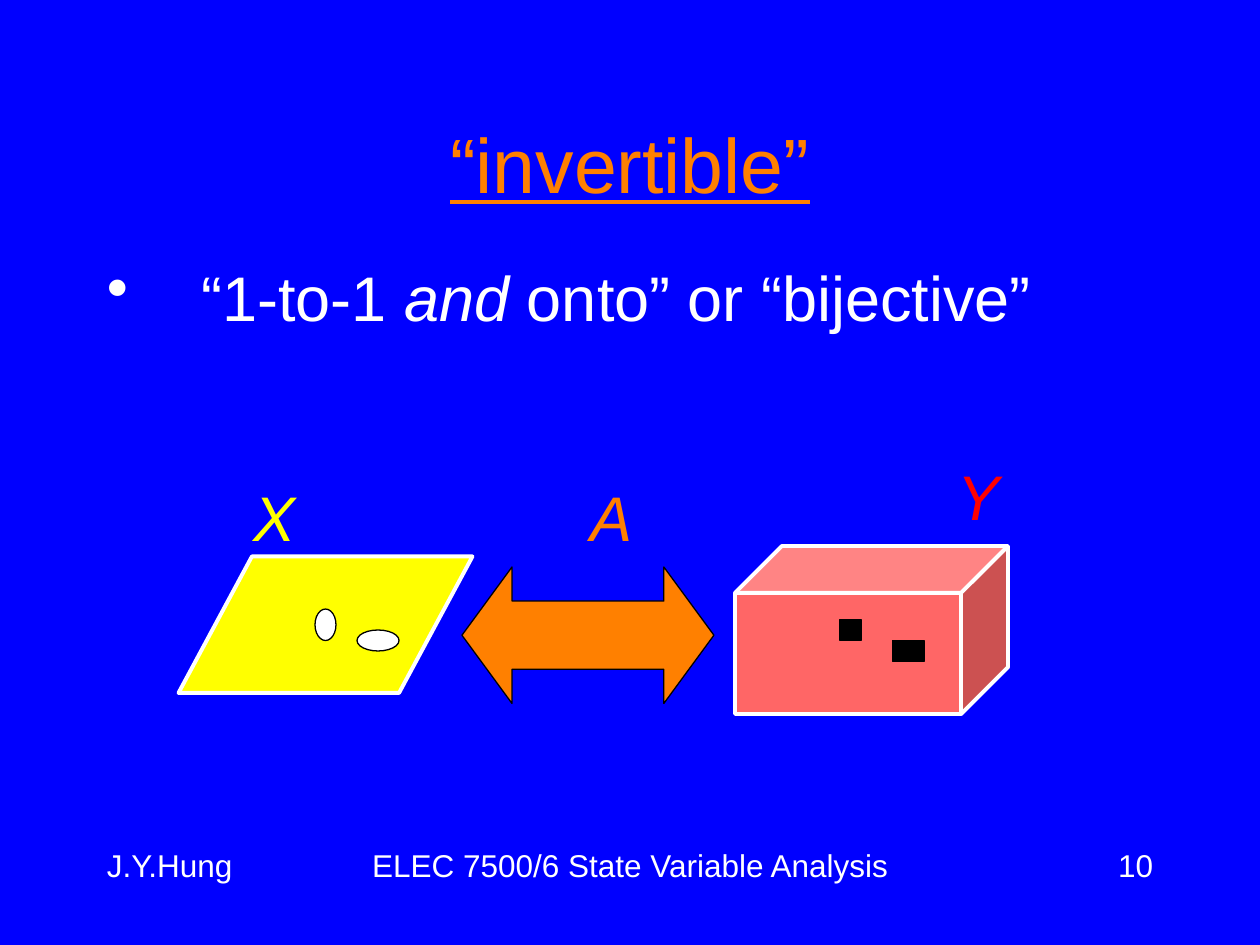
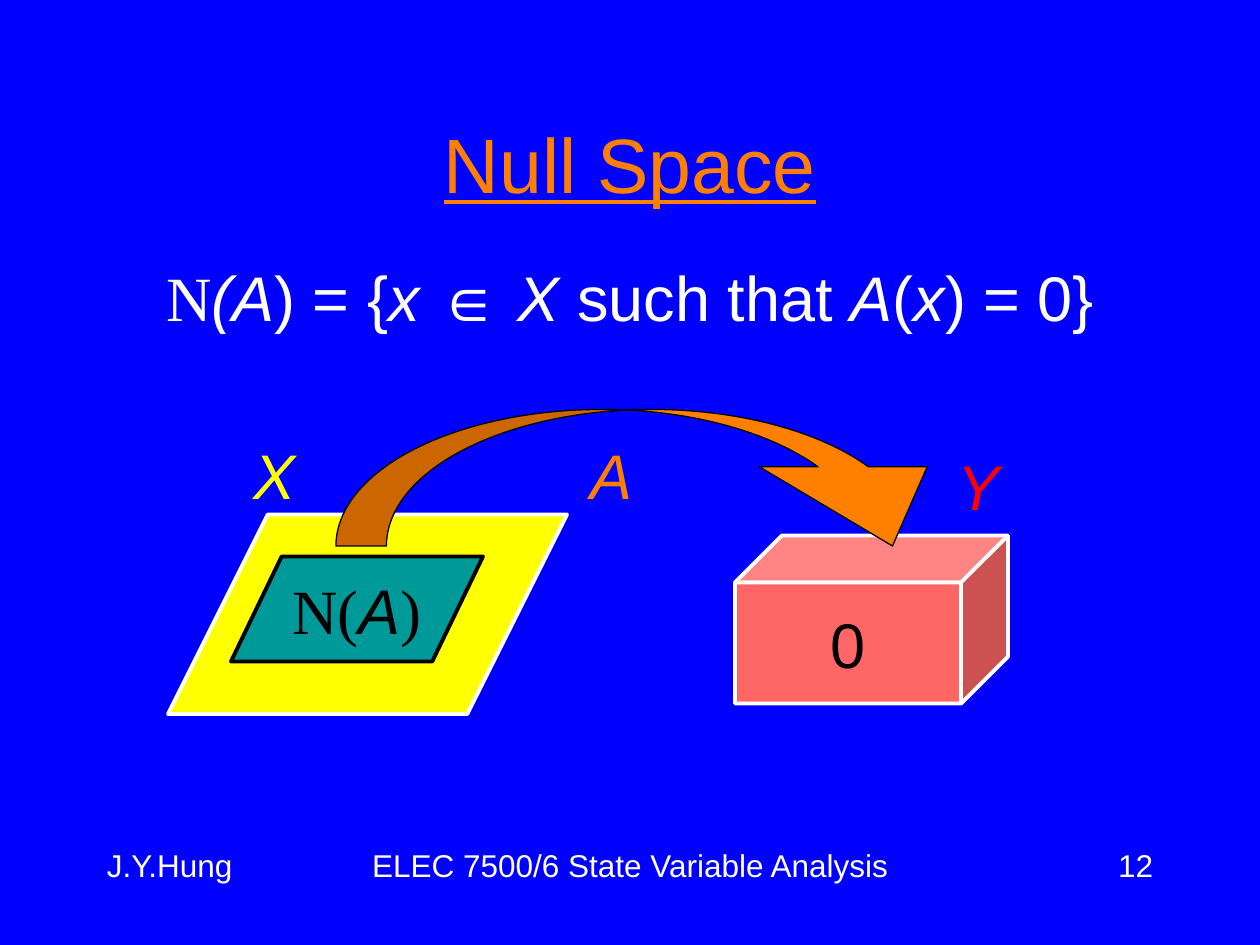
from lxml import etree
from pptx import Presentation
from pptx.dml.color import RGBColor
from pptx.enum.shapes import MSO_SHAPE
from pptx.enum.text import MSO_ANCHOR, MSO_AUTO_SIZE, PP_ALIGN
from pptx.oxml.ns import qn
from pptx.util import Pt

BLUE = RGBColor(0x00, 0x00, 0xFF)
WHITE = RGBColor(0xFF, 0xFF, 0xFF)
BLACK = RGBColor(0x00, 0x00, 0x00)
ORANGE = RGBColor(0xFF, 0x80, 0x00)
YELLOW = RGBColor(0xFF, 0xFF, 0x00)
RED = RGBColor(0xFF, 0x00, 0x00)
CORAL = RGBColor(0xFF, 0x66, 0x66)
TEAL = RGBColor(0x00, 0x99, 0x99)

SANS = "Arial"
SERIF = "Times New Roman"
LEFT, CENTER, RIGHT = PP_ALIGN.LEFT, PP_ALIGN.CENTER, PP_ALIGN.RIGHT
TOP, MIDDLE = MSO_ANCHOR.TOP, MSO_ANCHOR.MIDDLE
CUBE = MSO_SHAPE.CUBE
PARALLELOGRAM = MSO_SHAPE.PARALLELOGRAM
TWO_WAY_ARROW = MSO_SHAPE.LEFT_RIGHT_ARROW
CURVED_ARROW = MSO_SHAPE.CURVED_DOWN_ARROW
OVAL = MSO_SHAPE.OVAL
RECTANGLE = MSO_SHAPE.RECTANGLE

TITLE_SIZE, BODY_SIZE, FOOTER_SIZE = 44, 36, 18
THIN, THICK = 0.75, 2.25
CUBE_DEPTH = 0.279

# Boxes are (left, top, width, height) in points
TITLE_BOX = (54, 48, 612, 90)
BODY_BOX = (54, 144, 612, 324)
FOOTER_BOX = (54, 480, 612, 36)
INVERTIBLE_BOX = (102, 258, 474, 150)
NULL_SPACE_BOX = (96, 234, 480, 174)


def to_points(box):
    return [Pt(length) for length in box]


def inside(outer, left, top, width, height):
    """Turn a place relative to the outer box into a place on the slide."""
    return outer[0] + left, outer[1] + top, width, height


def write_spans(shape, spans, size, color, align=LEFT, anchor=TOP, wrap=True):
    """Fill a shape with one paragraph of (text, font, italic) spans."""
    frame = shape.text_frame
    frame.word_wrap = wrap
    frame.vertical_anchor = anchor
    para = frame.paragraphs[0]
    para.alignment = align
    for text, font, italic in spans:
        span = para.add_run()
        span.text = text
        span.font.name = font
        span.font.size = Pt(size)
        span.font.italic = italic
        span.font.color.rgb = color
    return para


def add_text(page, box, spans, size, color, **layout):
    shape = page.shapes.add_textbox(*to_points(box))
    return write_spans(shape, spans, size, color, **layout)


def add_figure(page, kind, box, fill, line, weight, adjustments=()):
    shape = page.shapes.add_shape(kind, *to_points(box))
    shape.shadow.inherit = False
    shape.fill.solid()
    shape.fill.fore_color.rgb = fill
    shape.line.color.rgb = line
    shape.line.width = Pt(weight)
    for index, value in enumerate(adjustments):
        shape.adjustments[index] = value
    return shape


def add_label(page, outer, left, top, letter, color):
    """Name a space or a map with one slanted letter."""
    box = page.shapes.add_textbox(*to_points(inside(outer, left, top, 38, 50.4)))
    write_spans(box, [(letter, SANS, True)], BODY_SIZE, color, wrap=False)
    box.text_frame.auto_size = MSO_AUTO_SIZE.SHAPE_TO_FIT_TEXT


def add_bullet(para, indent):
    properties = para._p.get_or_add_pPr()
    properties.set("marL", str(Pt(indent)))
    properties.set("indent", str(-Pt(indent)))
    color = etree.SubElement(properties, qn("a:buClr"))
    etree.SubElement(color, qn("a:srgbClr"), val=str(WHITE))
    etree.SubElement(properties, qn("a:buChar"), char="•")


def add_footer(page, box, number):
    parts = (
        (0, 90, "J.Y.Hung", LEFT),
        (114, 384, "ELEC 7500/6 State Variable Analysis", CENTER),
        (558, 54, str(number), RIGHT),
    )
    for left, width, text, align in parts:
        add_text(page, inside(box, left, 0, width, box[3]),
                 [(text, SANS, False)], FOOTER_SIZE, WHITE, align=align)


def add_page(deck, title, number):
    page = deck.slides.add_slide(deck.slide_layouts[6])
    page.background.fill.solid()
    page.background.fill.fore_color.rgb = BLUE
    add_footer(page, FOOTER_BOX, number)
    heading = add_text(page, TITLE_BOX, [(title, SANS, False)], TITLE_SIZE,
                       ORANGE, align=CENTER, anchor=MIDDLE)
    heading.runs[0].font.underline = True
    return page


def draw_invertible_map(page, box):
    add_figure(page, CUBE, inside(box, 318, 54, 156, 96), CORAL, WHITE, THICK,
               [CUBE_DEPTH])
    add_figure(page, PARALLELOGRAM, inside(box, 0, 60, 168, 78), YELLOW, WHITE,
               THICK, [0.538])
    add_figure(page, TWO_WAY_ARROW, inside(box, 162, 66, 144, 78), ORANGE,
               BLACK, THIN, [0.5, 0.367])
    add_label(page, box, 36, 12, "X", YELLOW)
    add_label(page, box, 438, 0, "Y", RED)
    add_label(page, box, 228.5, 12, "A", ORANGE)
    elements = (
        (OVAL, WHITE, 78, 90, 12, 18),
        (OVAL, WHITE, 102, 102, 24, 12),
        (RECTANGLE, BLACK, 378, 96, 12, 12),
        (RECTANGLE, BLACK, 408, 108, 18, 12),
    )
    for kind, fill, *place in elements:
        add_figure(page, kind, inside(box, *place), fill, BLACK, THIN)


def draw_null_space_map(page, box):
    zero_cube = add_figure(page, CUBE, inside(box, 324, 72, 156, 96), CORAL,
                           WHITE, THICK, [CUBE_DEPTH])
    write_spans(zero_cube, [("0", SANS, False)], BODY_SIZE, BLACK,
                align=CENTER, anchor=MIDDLE, wrap=False)
    add_figure(page, PARALLELOGRAM, inside(box, 0, 60, 228, 114), YELLOW, WHITE,
               THICK, [0.5])
    add_figure(page, CURVED_ARROW, inside(box, 96, 0, 366, 78), ORANGE, BLACK,
               THIN, [0.37, 1.23, 0.58])
    add_label(page, box, 42, 12, "X", YELLOW)
    add_label(page, box, 444, 18, "Y", RED)
    add_label(page, box, 234.5, 12, "A", ORANGE)
    null_space = add_figure(page, PARALLELOGRAM, inside(box, 36, 84, 144, 60),
                            TEAL, BLACK, THICK, [0.483])
    spans = [("N(", SERIF, False), ("A", SANS, True), (")", SERIF, False)]
    write_spans(null_space, spans, BODY_SIZE, BLACK,
                align=CENTER, anchor=MIDDLE, wrap=False)


def add_invertible_slide(deck):
    page = add_page(deck, "“invertible”", 10)
    spans = [("“1-to-1 ", SANS, False), ("and", SANS, True),
             (" onto” or “bijective”", SANS, False)]
    add_bullet(add_text(page, BODY_BOX, spans, BODY_SIZE, WHITE), 54)
    draw_invertible_map(page, INVERTIBLE_BOX)


def add_null_space_slide(deck):
    page = add_page(deck, "Null Space", 12)
    pieces = ("(A", ") = {", "x ", "∈ ", "X", " such that ", "A", "(", "x", ") = 0}")
    slanted = {"(A", "x ", "X", "A", "x"}
    spans = [("N", SERIF, False)]
    spans += [(piece, SANS, piece in slanted) for piece in pieces]
    add_text(page, BODY_BOX, spans, BODY_SIZE, WHITE, align=CENTER)
    draw_null_space_map(page, NULL_SPACE_BOX)


def main():
    deck = Presentation()
    deck.slide_width, deck.slide_height = Pt(720), Pt(540)
    add_invertible_slide(deck)
    add_null_space_slide(deck)
    deck.save("out.pptx")


if __name__ == "__main__":
    main()
